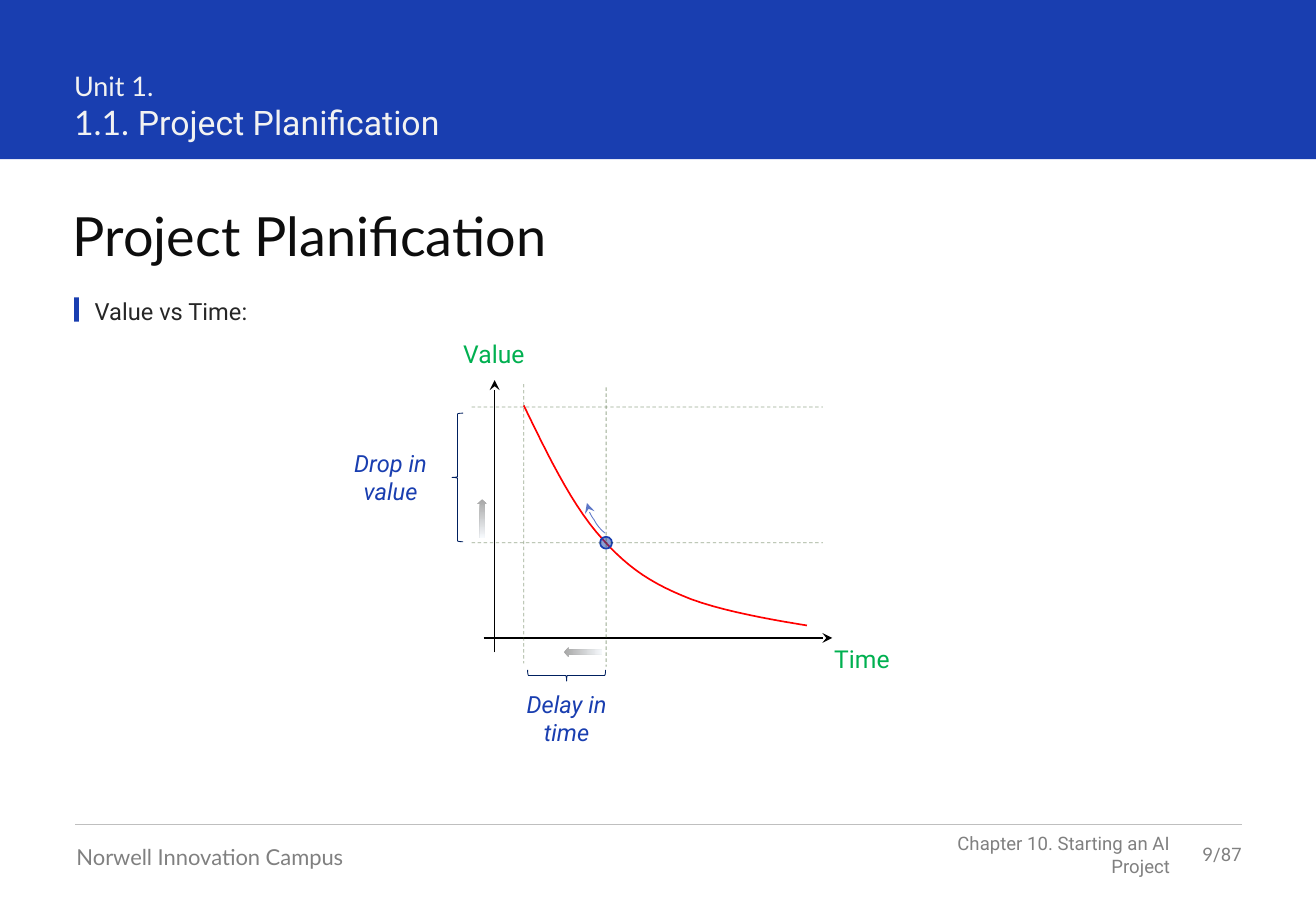
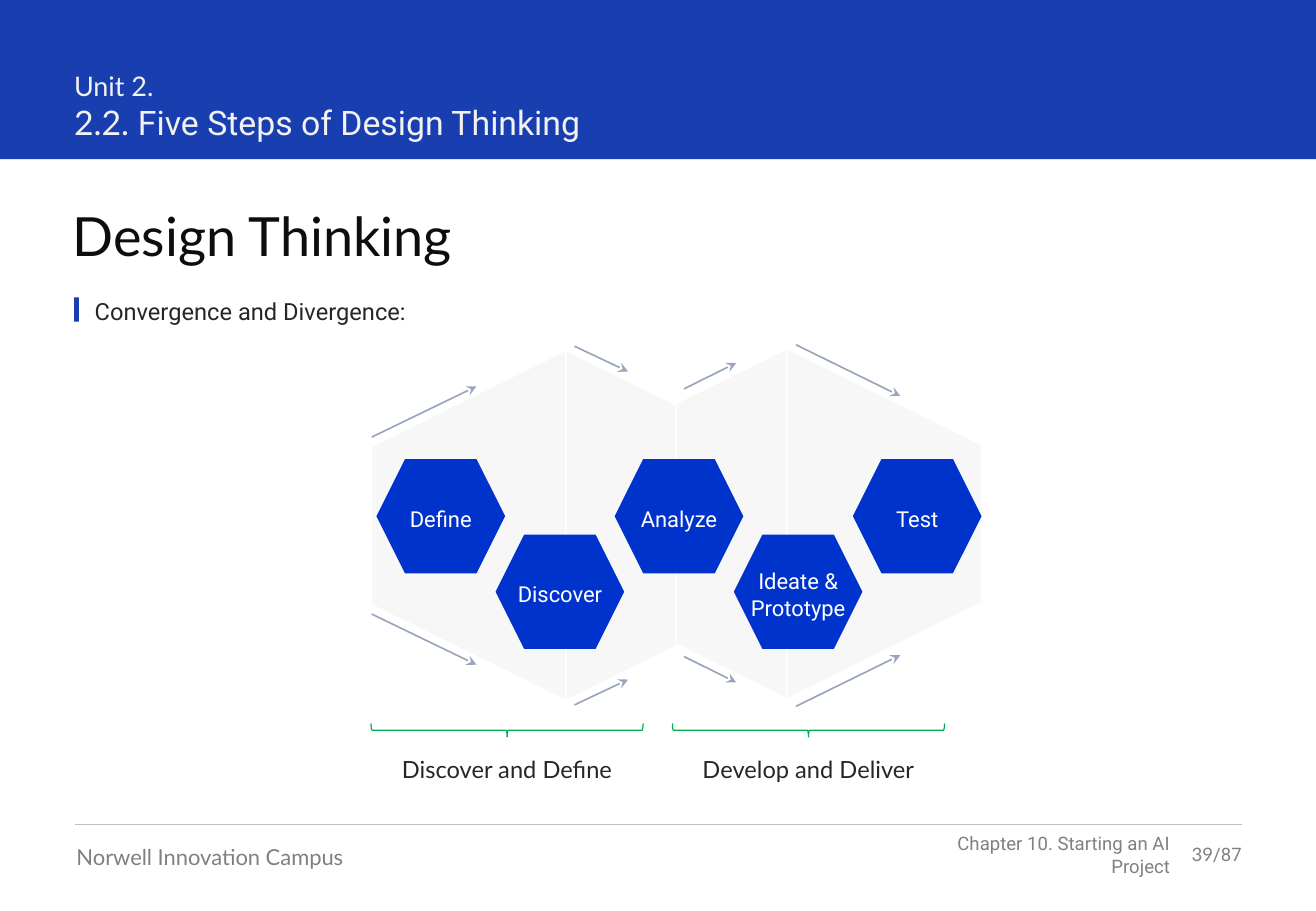
import lxml.etree
import pptx
import pptx.dml.color
import pptx.enum.dml
import pptx.enum.shapes
import pptx.enum.text
import pptx.oxml.ns
import pptx.util

Cm = pptx.util.Cm
qn = pptx.oxml.ns.qn
SHAPE = pptx.enum.shapes.MSO_SHAPE
STRAIGHT = pptx.enum.shapes.MSO_CONNECTOR.STRAIGHT
ALIGN = pptx.enum.text.PP_ALIGN
ANCHOR = pptx.enum.text.MSO_ANCHOR


class Theme:
    blue, hexagon_blue, navy = "193EB0", "0033CC", "002060"
    green, guide_green, red = "00B050", "385723", "FF0000"
    black, white = "000000", "FFFFFF"
    heading, body, band_text = "0D0D0D", "262626", "F2F2F2"
    footer, rule, panel = "808080", "BFBFBF", "D9D9D9"
    arrow_dark, arrow_light = "A6A6A6", "F7FAFD"
    lato, roboto = "Lato", "Roboto"
    heading_size, section_size, unit_size = 32, 20, 16
    axis_size, body_size, label_size, footer_size = 14.6, 14, 13, 11


def style(shape, fill=None, line=None, width=1, fill_alpha=100, line_alpha=100,
          dash=False, arrow=False):
    """Set fill and line of a shape or connector, and drop its shadow."""
    properties = shape._element.spPr
    if fill:
        shape.fill.solid()
        shape.fill.fore_color.rgb = pptx.dml.color.RGBColor.from_string(fill)
    elif hasattr(shape, "fill"):
        shape.fill.background()
    if line:
        shape.line.color.rgb = pptx.dml.color.RGBColor.from_string(line)
        shape.line.width = pptx.util.Pt(width)
    else:
        shape.line.fill.background()
    if dash:
        shape.line.dash_style = pptx.enum.dml.MSO_LINE.DASH
    outline = properties.find(qn("a:ln"))
    for parent, alpha in ((properties, fill_alpha), (outline, line_alpha)):
        if alpha < 100:
            color = parent.find(qn("a:solidFill"))[0]
            lxml.etree.SubElement(color, qn("a:alpha"), val=str(alpha * 1000))
    if arrow:
        lxml.etree.SubElement(outline, qn("a:tailEnd"), type="stealth")
    lxml.etree.SubElement(properties, qn("a:effectLst"))


def write(shape, paragraphs, color, align=ALIGN.LEFT, anchor=ANCHOR.TOP,
          margins=(0, 0, 0, 0), wrap=True, italic=False):
    """Fill a shape with paragraphs, each a list of (text, size, font) runs."""
    frame = shape.text_frame
    frame.word_wrap = wrap
    frame.vertical_anchor = anchor
    (frame.margin_left, frame.margin_top,
     frame.margin_right, frame.margin_bottom) = map(Cm, margins)
    for index, runs in enumerate(paragraphs):
        paragraph = frame.add_paragraph() if index else frame.paragraphs[0]
        paragraph.alignment = align
        for text, size, font in runs:
            run = paragraph.add_run()
            run.text = text
            run.font.size = pptx.util.Pt(size)
            run.font.name = font
            run.font.italic = italic
            run.font.color.rgb = pptx.dml.color.RGBColor.from_string(color)


SLIDE_WIDTH = 27.51
LABEL_MARGINS = (0.25, 0.13, 0.25, 0.13)

presentation = pptx.Presentation()
presentation.slide_width = Cm(SLIDE_WIDTH)
presentation.slide_height = Cm(19.05)

# Band, titles and footer
slides = []
for unit, number, section, heading, bullet, page in (
    ("Unit 1.", "1.1. ", "Project Planification", "Project Planification",
     "Value vs Time:", "9"),
    ("Unit 2.", "2.2. ", "Five Steps of Design Thinking", "Design Thinking",
     "Convergence and Divergence:", "39"),
):
    slide = presentation.slides.add_slide(presentation.slide_layouts[6])
    slides.append(slide)
    for box, fill in (((0, 0, SLIDE_WIDTH, 3.33), Theme.blue),
                      ((1.55, 6.22, 0.1, 0.51), Theme.blue)):
        style(slide.shapes.add_shape(SHAPE.RECTANGLE, *map(Cm, box)), fill)
    footer_rule = slide.shapes.add_connector(
        STRAIGHT, *map(Cm, (1.57, 17.25, 25.96, 17.25)))
    style(footer_rule, line=Theme.rule, width=0.5)
    for box, paragraphs, color, align, anchor in (
        ((1.55, 1.46, 16.18, 1.55),
         [[(unit, Theme.unit_size, Theme.lato)],
          [(number, Theme.section_size, Theme.lato),
           (section, Theme.section_size, Theme.roboto)]],
         Theme.band_text, ALIGN.LEFT, ANCHOR.TOP),
        ((1.52, 4.24, 24.43, 1.37),
         [[(heading, Theme.heading_size, Theme.lato)]],
         Theme.heading, ALIGN.LEFT, ANCHOR.TOP),
        ((1.98, 6.2, 23.98, 0.61),
         [[(bullet, Theme.body_size, Theme.roboto)]],
         Theme.body, ALIGN.LEFT, ANCHOR.TOP),
        ((1.6, 17.65, 8.03, 0.56),
         [[("Norwell Innovation Campus", Theme.label_size, Theme.lato)]],
         Theme.footer, ALIGN.LEFT, ANCHOR.TOP),
        ((18.86, 17.36, 5.6, 1.02),
         [[("Chapter 10. Starting an AI Project", Theme.footer_size, Theme.roboto)]],
         Theme.footer, ALIGN.RIGHT, ANCHOR.MIDDLE),
        ((24.46, 17.36, 1.5, 1.02),
         [[(page, Theme.footer_size, Theme.lato),
           ("/87", Theme.footer_size, Theme.roboto)]],
         Theme.footer, ALIGN.RIGHT, ANCHOR.MIDDLE),
    ):
        text_box = slide.shapes.add_textbox(*map(Cm, box))
        write(text_box, paragraphs, color, align, anchor)

planning, thinking = slides

# Value against time: axes, curve and guides
START_X, START_Y = 10.95, 8.51
POINT_X, POINT_Y = 12.67, 11.35

for ends in ((10.11, 13.34, 17.4, 13.34), (10.34, 13.64, 10.34, 7.95)):
    axis = planning.shapes.add_connector(STRAIGHT, *map(Cm, ends))
    style(axis, line=Theme.black, arrow=True)

value_curve = ((10.95, 8.48), (11.43, 9.47), (11.91, 10.46), (12.47, 11.13),
               (13.03, 11.79), (13.51, 12.14), (14.25, 12.45),
               (14.99, 12.78), (16.38, 13), (16.87, 13.08))
climb_curve = ((12.65, 11.15), (12.55, 11.07), (12.47, 10.97), (12.42, 10.87),
               (12.34, 10.77), (12.29, 10.64), (12.27, 10.52))
STEPS = 12
for controls, look in (
    (value_curve, dict(line=Theme.red)),
    (climb_curve, dict(line=Theme.blue, width=0.5, line_alpha=70, arrow=True)),
):
    nodes = []
    for first in range(0, len(controls) - 1, 3):
        segment = controls[first:first + 4]
        for step in range(1, STEPS + 1):
            t = step / STEPS
            weights = ((1 - t) ** 3, 3 * t * (1 - t) ** 2, 3 * t * t * (1 - t), t ** 3)
            nodes.append([Cm(sum(weight * control[axis] for weight, control
                                 in zip(weights, segment))) for axis in (0, 1)])
    builder = planning.shapes.build_freeform(*map(Cm, controls[0]))
    builder.add_line_segments(nodes, close=False)
    style(builder.convert_to_shape(), **look)

DOT = 0.25
dot = planning.shapes.add_shape(
    SHAPE.OVAL, *map(Cm, (POINT_X - DOT / 2, POINT_Y - DOT / 2, DOT, DOT)))
style(dot, Theme.blue, Theme.blue, fill_alpha=50)

for ends in ((9.86, START_Y, 17.2, START_Y), (9.86, POINT_Y, 17.2, POINT_Y),
             (START_X, 8.03, START_X, 13.87), (POINT_X, 8.1, POINT_X, 13.94)):
    guide = planning.shapes.add_connector(STRAIGHT, *map(Cm, ends))
    style(guide, line=Theme.guide_green, width=0.5, line_alpha=50, dash=True)

for box, rotation in (((9.45, 8.64, 0.23, 2.69), 0),
                      ((11.73, 13.31, 0.23, 1.63), 270)):
    brace = planning.shapes.add_shape(SHAPE.LEFT_BRACE, *map(Cm, box))
    brace.rotation = rotation
    style(brace, line=Theme.navy, width=0.5)

for left, top, rotation in ((9.98, 10.44, 0), (12.09, 13.23, 270)):
    block_arrow = planning.shapes.add_shape(
        SHAPE.UP_ARROW, *map(Cm, (left, top, 0.2, 0.81)))
    block_arrow.rotation = rotation
    style(block_arrow)
    block_arrow.fill.gradient()
    block_arrow.fill.gradient_angle = 270
    for stop, color, position in zip(block_arrow.fill.gradient_stops,
                                     (Theme.arrow_dark, Theme.arrow_light), (0, 1)):
        stop.color.rgb = pptx.dml.color.RGBColor.from_string(color)
        stop.position = position

for text, box, size, color, italic in (
    ("Time", (17.07, 13.34, 1.9, 0.89), Theme.axis_size, Theme.green, False),
    ("Value", (9.17, 6.96, 2.31, 0.89), Theme.axis_size, Theme.green, False),
    ("Drop in value", (7.01, 9.25, 2.31, 1.5), Theme.body_size, Theme.blue, True),
    ("Delay in time", (10.69, 14.3, 2.31, 1.5), Theme.body_size, Theme.blue, True),
):
    label = planning.shapes.add_textbox(*map(Cm, box))
    write(label, [[(text, size, Theme.roboto)]], color, ALIGN.CENTER,
          margins=LABEL_MARGINS, italic=italic)

# Design thinking: diverging and converging panels
PANEL_HEIGHT = 7.32
panel_left = 7.77
for depth, middle, rotation in ((4.06, 10.99, 270), (2.31, 10.99, 90),
                                (2.31, 10.95, 270), (4.06, 10.95, 90)):
    panel = thinking.shapes.add_shape(
        SHAPE.TRAPEZOID, Cm(panel_left + depth / 2 - PANEL_HEIGHT / 2),
        Cm(middle - depth / 2), Cm(PANEL_HEIGHT), Cm(depth))
    panel.adjustments[0] = 0.494
    panel.rotation = rotation
    style(panel, Theme.panel, Theme.white, width=0, fill_alpha=20)
    panel_left += depth

for x1, y1, x2, y2, middle in (
    (7.77, 9.14, 9.96, 8.08, 10.99), (12.01, 7.24, 13.13, 7.77, 10.99),
    (14.3, 8.13, 15.39, 7.59, 10.93), (16.64, 7.21, 18.82, 8.28, 10.99),
):
    for ends in ((x1, y1, x2, y2), (x1, 2 * middle - y1, x2, 2 * middle - y2)):
        direction = thinking.shapes.add_connector(STRAIGHT, *map(Cm, ends))
        style(direction, line=Theme.navy, line_alpha=40, arrow=True)

for index, lines in enumerate((["Define"], ["Discover"], ["Analyze"],
                               ["Ideate &", "Prototype"], ["Test"])):
    hexagon = thinking.shapes.add_shape(
        SHAPE.HEXAGON, Cm(7.87 + 2.49 * index), Cm((9.6, 11.18)[index % 2]),
        Cm(2.69), Cm(2.39))
    style(hexagon, Theme.hexagon_blue)
    write(hexagon, [[(line, Theme.label_size, Theme.roboto)] for line in lines],
          Theme.white, ALIGN.CENTER, ANCHOR.MIDDLE, (0, 0.1, 0, 0), wrap=False)

BRACE_WIDTH, BRACE_SPAN, LABEL_WIDTH = 0.28, 5.69, 5.28
for center, text in ((10.6, "Discover and Define"), (16.9, "Develop and Deliver")):
    brace = thinking.shapes.add_shape(
        SHAPE.RIGHT_BRACE, Cm(center - BRACE_WIDTH / 2), Cm(15.27 - BRACE_SPAN / 2),
        Cm(BRACE_WIDTH), Cm(BRACE_SPAN))
    brace.rotation = 90
    style(brace, line=Theme.green, width=0.75)
    label = thinking.shapes.add_textbox(
        *map(Cm, (center - LABEL_WIDTH / 2, 15.65, LABEL_WIDTH, 0.89)))
    write(label, [[(text, Theme.body_size, Theme.lato)]], Theme.body,
          ALIGN.CENTER, margins=LABEL_MARGINS)

presentation.save("out.pptx")
